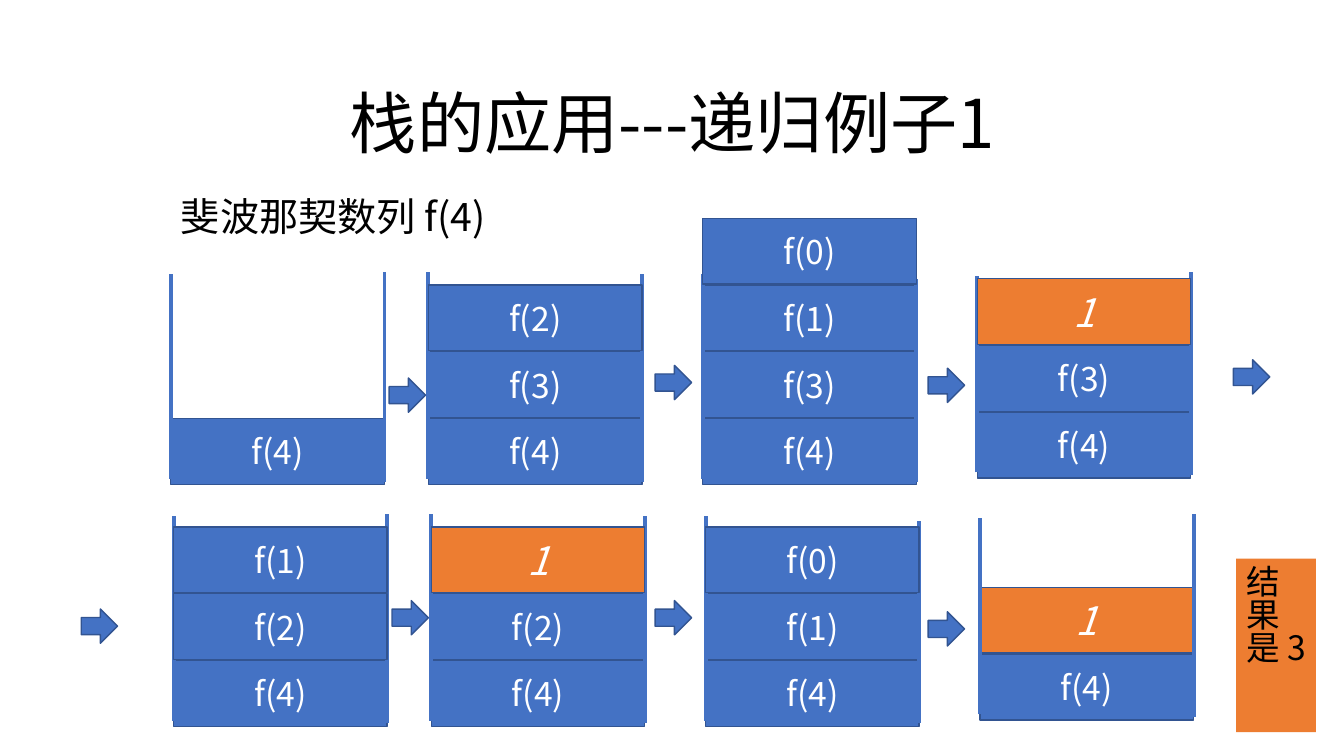
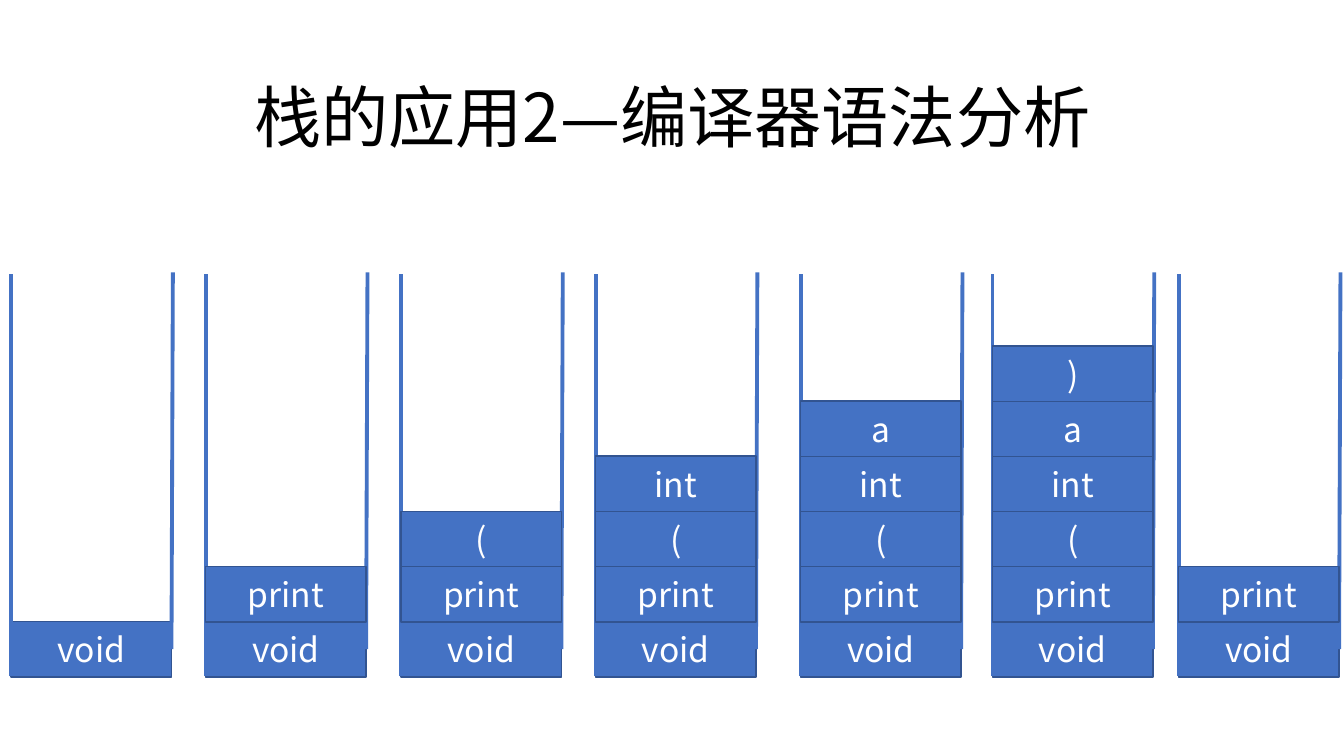
from dataclasses import dataclass

from lxml import etree
from pptx import Presentation
from pptx.dml.color import RGBColor
from pptx.enum import shapes, text
from pptx.oxml.ns import qn
from pptx.util import Pt

FONT = "Noto Sans CJK SC"
BLUE, EDGE, ORANGE = "4472C4", "325491", "ED7D31"
BLACK, WHITE = "000000", "FFFFFF"
RETURNED = "1"


@dataclass
class StackStyle:
    """Sizes of one kind of stack; wall feet are measured up from its bottom."""
    width: float
    height: float
    pitch: float
    left_foot: float
    right_foot: float
    lean: float


CALLS = StackStyle(152.6, 47, 47.7, 4, 2, 0)
TOKENS = StackStyle(114.5, 39.6, 39.4, 0.5, 20, 1)


def color(value):
    return RGBColor.from_string(value)


def place(item, left, top, width, height):
    item.left, item.top = Pt(left), Pt(top)
    item.width, item.height = Pt(width), Pt(height)


def write(frame, words, size, ink, align=text.PP_ALIGN.LEFT, spacing=None, italic=None):
    frame.word_wrap = True
    frame.auto_size = text.MSO_AUTO_SIZE.NONE
    para = frame.paragraphs[0]
    para.alignment = align
    para.line_spacing = spacing
    para.space_before = Pt(0)
    span = para.add_run()
    span.text = words
    span.font.size = Pt(size)
    span.font.italic = italic
    span.font.color.rgb = color(ink)
    span.font.name = FONT
    etree.SubElement(span.font._element, qn("a:ea"), typeface=FONT)
    return para


def add_title(page, words, top):
    title = page.shapes.title
    place(title, 162, top, 636.5, 65.5)
    title.text_frame.vertical_anchor = text.MSO_ANCHOR.TOP
    write(title.text_frame, words, 48, BLACK, text.PP_ALIGN.CENTER, 0.9)


def add_subject(page, words, left, top):
    body = page.placeholders[1]
    place(body, left, top, 520.5, 75)
    body.text_frame.vertical_anchor = text.MSO_ANCHOR.TOP
    para = write(body.text_frame, words, 28, BLACK, spacing=0.9)
    props = para._p.get_or_add_pPr()
    props.set("marL", "0")
    props.set("indent", "0")
    etree.SubElement(props, qn("a:buNone"))


def add_block(page, kind, left, top, width, height, fill=BLUE, edge=EDGE):
    block = page.shapes.add_shape(kind, Pt(left), Pt(top), Pt(width), Pt(height))
    block.shadow.inherit = False
    block.fill.solid()
    block.fill.fore_color.rgb = color(fill)
    if edge:
        block.line.color.rgb = color(edge)
        block.line.width = Pt(1)
    else:
        block.line.fill.background()
    return block


def add_cell(page, left, top, style, label):
    returned = label == RETURNED
    cell = add_block(page, shapes.MSO_SHAPE.RECTANGLE, left, top,
                     style.width, style.height, ORANGE if returned else BLUE)
    cell.text_frame.vertical_anchor = text.MSO_ANCHOR.MIDDLE
    write(cell.text_frame, label, 28 if returned else 24, WHITE,
          text.PP_ALIGN.CENTER, italic=returned or None)


def add_wall(page, foot_x, foot_y, head_x, head_y):
    wall = page.shapes.add_connector(shapes.MSO_CONNECTOR.STRAIGHT, Pt(foot_x),
                                     Pt(foot_y), Pt(head_x), Pt(head_y))
    wall.line.color.rgb = color(BLUE)
    wall.line.width = Pt(2.75)
    etree.SubElement(wall._element.spPr, qn("a:effectLst"))


def add_stack(page, style, left, base, left_head, right_head, labels, behind):
    """Stack labels upwards from base; the first `behind` cells lie under the walls."""
    def add_cells(first, last):
        for level in range(first, last):
            add_cell(page, left, base - level * style.pitch, style, labels[level])

    right, bottom = left + style.width, base + style.height
    add_cells(0, behind)
    add_wall(page, right, bottom - style.right_foot, right + style.lean, right_head)
    add_wall(page, left, bottom - style.left_foot, left, left_head)
    add_cells(behind, len(labels))


def add_result(page, words, left, top):
    result = add_block(page, shapes.MSO_SHAPE.RECTANGLE, left, top, 57, 124, ORANGE, None)
    frame = result.text_frame
    frame.vertical_anchor = text.MSO_ANCHOR.TOP
    frame.margin_top = Pt(6.5)
    write(frame, words, 24, BLACK, spacing=0.82)


def build_recursion(deck):
    page = deck.slides.add_slide(deck.slide_layouts[1])
    add_title(page, "栈的应用---递归例子1", 61)
    add_subject(page, "斐波那契数列 f(4)", 122, 137.5)

    # left, base, head of left wall, head of right wall
    columns = [(122, 299, 196, 194.5), (306, 299, 194.5, 196),
               (502, 299, 196, 199.5), (698, 294.5, 197.5, 194.5)]
    rows = [
        (0, 0, [(["f(4)"], 1), (["f(4)", "f(3)", "f(2)"], 2),
                (["f(4)", "f(3)", "f(1)", "f(0)"], 3),
                (["f(4)", "f(3)", RETURNED], 2)]),
        (2, 172.8, [(["f(4)", "f(2)", "f(1)"], 1), (["f(4)", "f(2)", RETURNED], 2),
                    (["f(4)", "f(1)", "f(0)"], 2), (["f(4)", RETURNED], 2)]),
    ]
    for shift, drop, stacks in rows:
        for (left, *heights), (labels, behind) in zip(columns, stacks):
            base, left_head, right_head = (height + drop for height in heights)
            add_stack(page, CALLS, left + shift, base, left_head, right_head,
                      labels, behind)

    add_result(page, "结果是 3", 883, 399)
    for left, top in [(278, 270), (468, 261), (663, 263), (881, 257),
                      (58, 435), (280, 429), (468, 429), (663, 437)]:
        add_block(page, shapes.MSO_SHAPE.RIGHT_ARROW, left, top, 26, 24.5)


def build_parsing(deck):
    page = deck.slides.add_slide(deck.slide_layouts[5])
    add_title(page, "栈的应用2—编译器语法分析", 57)
    tokens = ["void", "print", "(", "int", "a", ")"]
    lefts = [8, 147, 286.5, 425.5, 572, 709, 842]
    for left, depth in zip(lefts, [1, 2, 3, 4, 5, 6, 2]):
        add_stack(page, TOKENS, left, 444, 196, 194.5, tokens[:depth], 1)


def main():
    deck = Presentation()
    deck.slide_width, deck.slide_height = Pt(960), Pt(540)
    build_recursion(deck)
    build_parsing(deck)
    deck.save("out.pptx")


if __name__ == "__main__":
    main()
